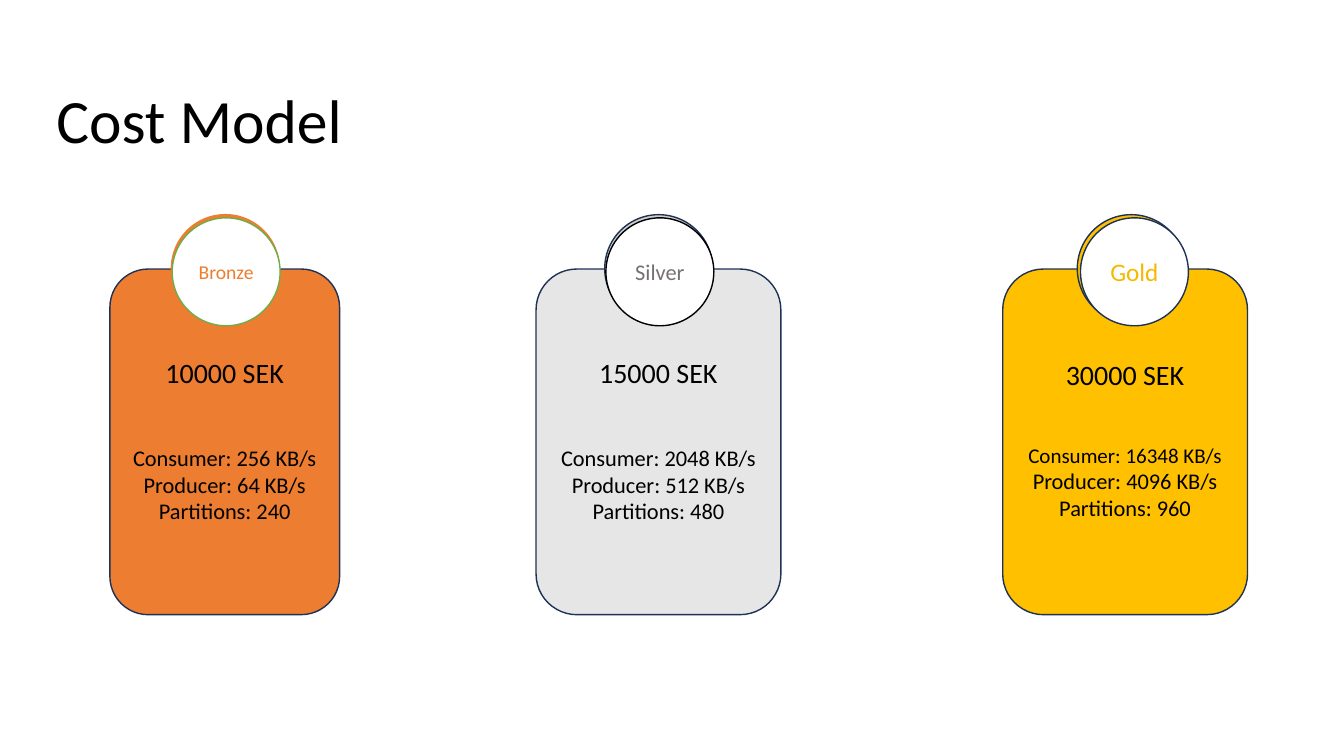
from pptx import Presentation
from pptx.dml.color import RGBColor
from pptx.enum.shapes import MSO_SHAPE
from pptx.enum.text import MSO_ANCHOR, PP_ALIGN
from pptx.util import Cm, Pt

BLACK = RGBColor(0x00, 0x00, 0x00)
WHITE = RGBColor(0xFF, 0xFF, 0xFF)
NAVY = RGBColor(0x1E, 0x32, 0x56)
ORANGE = RGBColor(0xED, 0x7D, 0x31)
GREEN = RGBColor(0x70, 0xAD, 0x47)
PALE_GREY = RGBColor(0xE7, 0xE6, 0xE6)
MID_GREY = RGBColor(0xD0, 0xCE, 0xCE)
DARK_GREY = RGBColor(0x76, 0x71, 0x71)
YELLOW = RGBColor(0xFF, 0xC0, 0x00)
GOLD = RGBColor(0xF5, 0xB9, 0x00)

CARD_TOP, CARD_HEIGHT = 6.78, 8.71
BADGE_SIZE, RING_TOP, BADGE_TOP = 2.72, 5.41, 5.49
LINE_SPACING = 1.22

deck = Presentation()
deck.slide_width, deck.slide_height = Cm(33.87), Cm(19.05)
page = deck.slides.add_slide(deck.slide_layouts[6])


def add_panel(kind, left, top, width, height, fill, outline):
    panel = page.shapes.add_shape(kind, Cm(left), Cm(top), Cm(width), Cm(height))
    panel.shadow.inherit = False
    panel.fill.solid()
    panel.fill.fore_color.rgb = fill
    panel.line.color.rgb = outline
    panel.line.width = Pt(1)
    return panel


def write_lines(frame, lines, color, align, anchor):
    frame.word_wrap = True
    frame.vertical_anchor = anchor
    for index, (text, size) in enumerate(lines):
        para = frame.add_paragraph() if index else frame.paragraphs[0]
        para.alignment = align
        span = para.add_run()
        span.text = text
        span.font.color.rgb = color
        for name, value in {"name": "Calibri", "size": Pt(size)}.items():
            setattr(span.font, name, value)


tiers = [
    {"name": "Bronze", "name_size": 14, "name_color": ORANGE,
     "left": 2.77, "width": 5.79, "fill": ORANGE,
     "ring_left": 4.32, "ring_fill": ORANGE, "ring_line": ORANGE,
     "badge_left": 4.34, "badge_line": GREEN,
     "price": "10000 SEK", "consumer": 256, "producer": 64,
     "partitions": 240, "consumer_size": 16, "bottom": 0.22},
    {"name": "Silver", "name_size": 16, "name_color": DARK_GREY,
     "left": 13.51, "width": 6.17, "fill": PALE_GREY,
     "ring_left": 15.24, "ring_fill": MID_GREY, "ring_line": NAVY,
     "badge_left": 15.27, "badge_line": BLACK,
     "price": "15000 SEK", "consumer": 2048, "producer": 512,
     "partitions": 480, "consumer_size": 16, "bottom": 0.22},
    {"name": "Gold", "name_size": 18, "name_color": GOLD,
     "left": 25.27, "width": 6.17, "fill": YELLOW,
     "ring_left": 27.15, "ring_fill": YELLOW, "ring_line": NAVY,
     "badge_left": 27.23, "badge_line": NAVY,
     "price": "30000 SEK", "consumer": 16348, "producer": 4096,
     "partitions": 960, "consumer_size": 15, "bottom": 0.26},
]

for tier in tiers:
    card = add_panel(MSO_SHAPE.ROUNDED_RECTANGLE, tier["left"], CARD_TOP,
                     tier["width"], CARD_HEIGHT, tier["fill"], NAVY)
    card.text_frame.margin_bottom = Cm(tier["bottom"])
    write_lines(card.text_frame, [
        (tier["price"], 20),
        (f"Consumer: {tier['consumer']} KB/s", tier["consumer_size"]),
        (f"Producer: {tier['producer']} KB/s", 16),
        (f"Partitions: {tier['partitions']}", 16),
    ], BLACK, PP_ALIGN.CENTER, MSO_ANCHOR.MIDDLE)
    gap = 2 * LINE_SPACING * tier["consumer_size"]
    card.text_frame.paragraphs[1].space_before = Pt(gap)

    add_panel(MSO_SHAPE.OVAL, tier["ring_left"], RING_TOP, BADGE_SIZE,
              BADGE_SIZE, tier["ring_fill"], tier["ring_line"])
    badge = add_panel(MSO_SHAPE.OVAL, tier["badge_left"], BADGE_TOP, BADGE_SIZE,
                      BADGE_SIZE, WHITE, tier["badge_line"])
    badge.text_frame.margin_left = badge.text_frame.margin_right = 0
    write_lines(badge.text_frame, [(tier["name"], tier["name_size"])],
                tier["name_color"], PP_ALIGN.CENTER, MSO_ANCHOR.MIDDLE)

title_box = page.shapes.add_textbox(Cm(1.42), Cm(1.02), Cm(29.41), Cm(2.92))
for side in ("left", "top", "right", "bottom"):
    setattr(title_box.text_frame, f"margin_{side}", 0)
write_lines(title_box.text_frame, [("Cost Model", 44)], BLACK,
            PP_ALIGN.LEFT, MSO_ANCHOR.BOTTOM)
title_box.text_frame.paragraphs[0].line_spacing = 0.9

deck.save("out.pptx")
